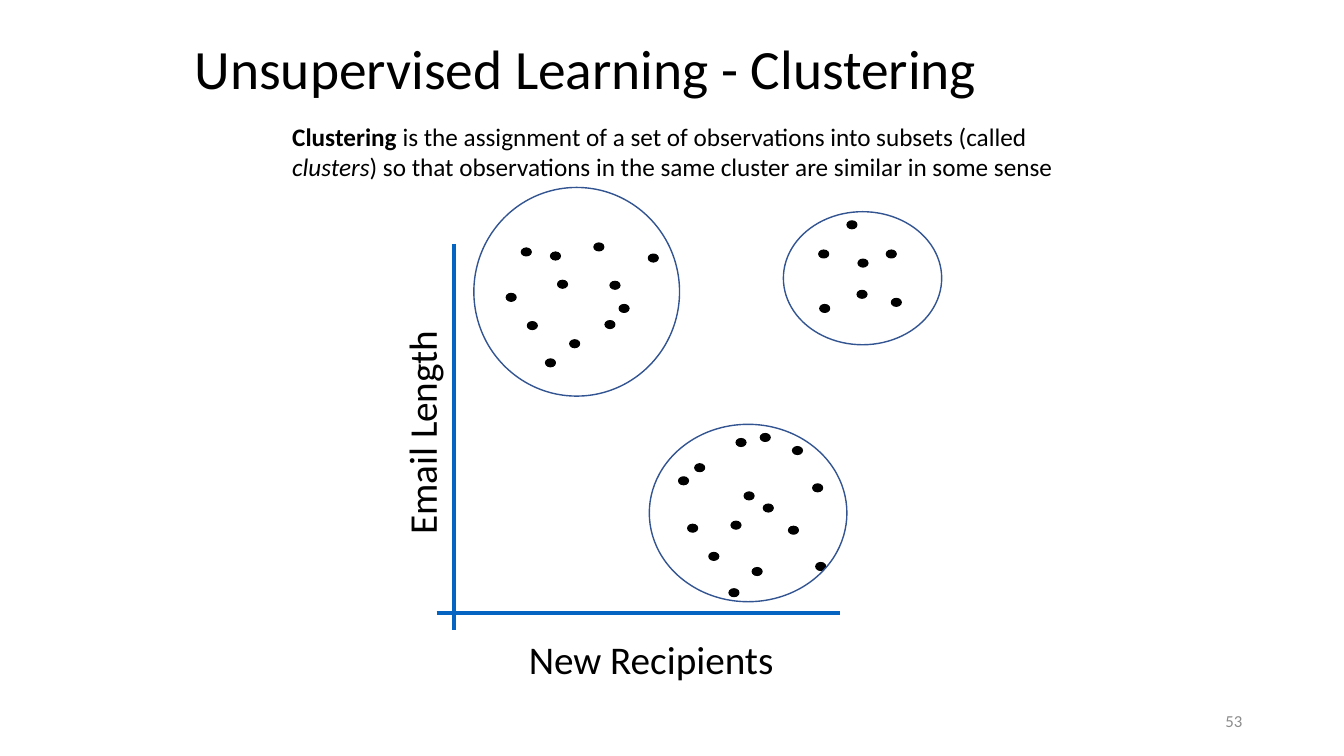
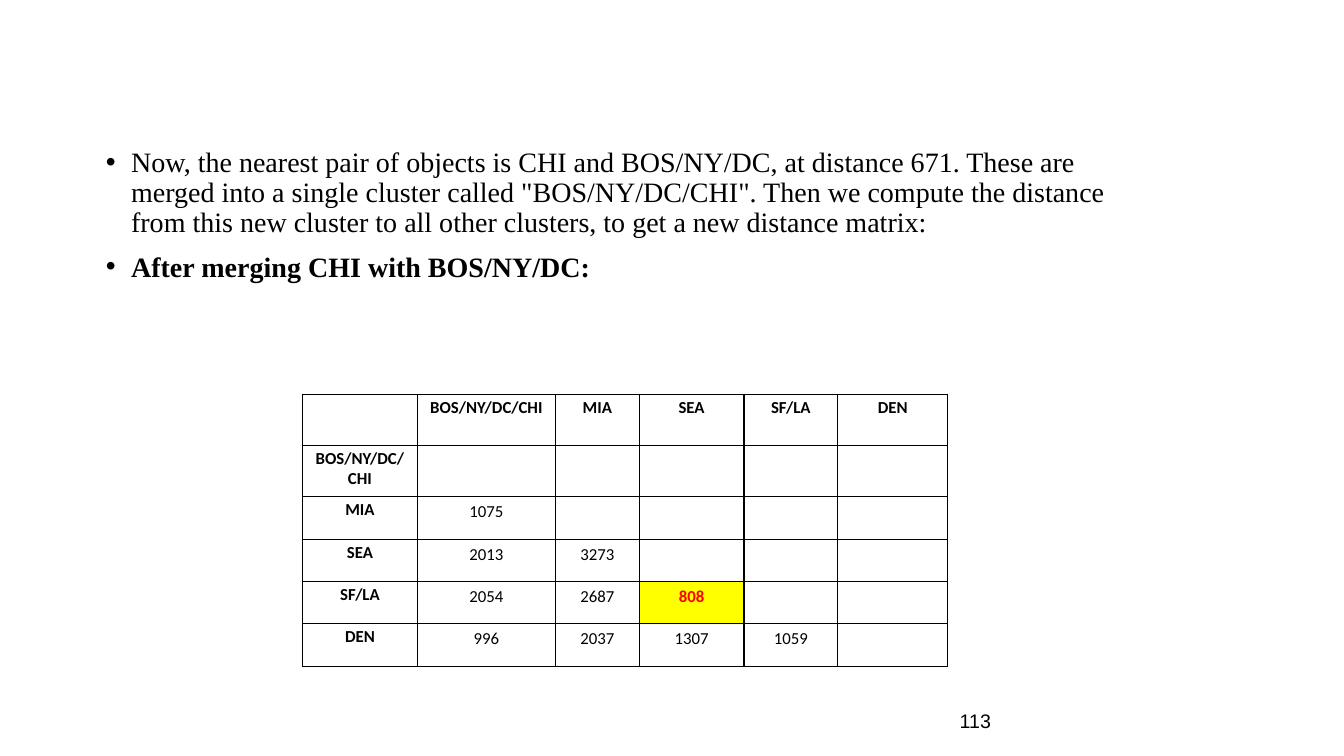
from lxml import etree
from pptx import Presentation
from pptx.dml.color import RGBColor
from pptx.enum.shapes import MSO_CONNECTOR, MSO_SHAPE
from pptx.enum.text import MSO_ANCHOR, MSO_AUTO_SIZE, PP_ALIGN
from pptx.oxml.ns import qn
from pptx.util import Inches, Pt

LEFT, CENTER, RIGHT = PP_ALIGN.LEFT, PP_ALIGN.CENTER, PP_ALIGN.RIGHT
TOP, MIDDLE = MSO_ANCHOR.TOP, MSO_ANCHOR.MIDDLE
NO_AUTOFIT = MSO_AUTO_SIZE.NONE
OVAL = MSO_SHAPE.OVAL
STRAIGHT = MSO_CONNECTOR.STRAIGHT

HEX = {
    "text": "000000",
    "paper": "FFFFFF",
    "axis": "0563C1",
    "outline": "325491",
    "page": "8C8C8C",
    "highlight": "FFFF00",
    "nearest": "FF0000",
}
COLOR = {name: RGBColor.from_string(value) for name, value in HEX.items()}
BODY_FONT = "Calibri"
PAGE_BOX = (9.42, 6.95, 3, 0.4)


def add_run(para, text, size, font=BODY_FONT, color="text", bold=False, italic=False):
    span = para.add_run()
    span.text = text
    span.font.size = Pt(size)
    span.font.name = font
    span.font.color.rgb = COLOR[color]
    span.font.bold = bold
    span.font.italic = italic


def add_text_box(slide, place, align=LEFT, anchor=TOP):
    """Add a wrapping text box and return it with its first paragraph."""
    box = slide.shapes.add_textbox(*map(Inches, place))
    box.text_frame.word_wrap = True
    box.text_frame.vertical_anchor = anchor
    para = box.text_frame.paragraphs[0]
    para.alignment = align
    return box, para


deck = Presentation()
deck.slide_width = Inches(13.33)
deck.slide_height = Inches(7.5)

# Slide 1: clustering scatter
slide = deck.slides.add_slide(deck.slide_layouts.get_by_name("Title Only"))
title = slide.shapes.title
title.left, title.top, title.width, title.height = map(Inches, (1.83, 0.33, 8.69, 0.75))
title.text_frame.auto_size = NO_AUTOFIT
title.text_frame.vertical_anchor = MIDDLE
para = title.text_frame.paragraphs[0]
para.alignment = LEFT
para.line_spacing = 0.9
add_run(para, "Unsupervised Learning - Clustering", 39.6)

for x1, y1, x2, y2 in [(4.5, 2.42, 4.5, 6.25), (4.33, 6.08, 8.33, 6.08)]:
    axis = slide.shapes.add_connector(STRAIGHT, *map(Inches, (x1, y1, x2, y2)))
    axis.line.color.rgb = COLOR["axis"]
    axis.line.width = Pt(3)
    etree.SubElement(axis._element.spPr, qn("a:effectLst"))

# Each cluster: the place of its outline and the centres of its dots
DOT_WIDTH, DOT_HEIGHT = 0.1, 0.08
clusters = [
    ((4.7, 1.86, 2.04, 2.07), [
        (5.28, 3.23), (6.48, 2.56), (6.19, 3.06), (5.7, 3.41), (5.22, 2.5), (6.05, 3.22),
        (5.46, 3.6), (6.1, 2.83), (5.94, 2.45), (5.58, 2.82), (5.07, 2.95), (5.51, 2.54)]),
    ((7.77, 2.1, 1.57, 1.32), [
        (8.84, 2.52), (8.45, 2.23), (8.89, 3), (8.18, 3.06), (8.56, 2.61), (8.55, 2.92),
        (8.17, 2.52)]),
    ((6.44, 4.21, 1.96, 1.76), [
        (7.35, 4.39), (7.87, 5.26), (6.78, 4.77), (7.3, 5.21), (7.51, 5.67), (6.87, 5.24),
        (8.14, 5.62), (6.94, 4.64), (7.59, 4.34), (8.11, 4.84), (7.43, 4.92), (7.28, 5.88),
        (7.91, 4.47), (7.62, 5.04), (7.08, 5.52)]),
]
for outline_place, centres in clusters:
    for x, y in centres:
        dot = slide.shapes.add_shape(
            OVAL, Inches(x - DOT_WIDTH / 2), Inches(y - DOT_HEIGHT / 2),
            Inches(DOT_WIDTH), Inches(DOT_HEIGHT))
        dot.shadow.inherit = False
        dot.fill.solid()
        dot.fill.fore_color.rgb = COLOR["text"]
        dot.line.color.rgb = COLOR["text"]
        dot.line.width = Pt(0.75)
    outline = slide.shapes.add_shape(OVAL, *map(Inches, outline_place))
    outline.shadow.inherit = False
    outline.fill.background()
    outline.line.color.rgb = COLOR["outline"]
    outline.line.width = Pt(1)

for label, left, top, angle in [("New Recipients", 4.91, 6.25, 0), ("Email Length", 2.75, 4.33, 270)]:
    box, para = add_text_box(slide, (left, top, 2.86, 0.57), RIGHT)
    box.rotation = angle
    add_run(para, label, 28)

box, para = add_text_box(slide, (2.8, 1.15, 7.95, 0.71))
add_run(para, "Clustering", 18, bold=True)
add_run(para, " is the assignment of a set of observations into subsets (called ", 18)
add_run(para, "clusters", 18, italic=True)
add_run(para, ") so that observations in the same cluster are similar in some sense", 18)

box, para = add_text_box(slide, PAGE_BOX, RIGHT, MIDDLE)
add_run(para, "53", 12, color="page")

# Slide 2: distance matrix
slide = deck.slides.add_slide(deck.slide_layouts.get_by_name("Title and Content"))
empty_title = slide.shapes.title._element
empty_title.getparent().remove(empty_title)

body = slide.placeholders[1]
body.left, body.top, body.width, body.height = map(Inches, (0.95, 1.42, 10.5, 4.58))
frame = body.text_frame
frame.auto_size = NO_AUTOFIT
points = [
    ("Now, the nearest pair of objects is CHI and BOS/NY/DC, at distance 671. These are merged "
     "into a single cluster called \"BOS/NY/DC/CHI\". Then we compute the distance from this new "
     "cluster to all other clusters, to get a new distance matrix:", False),
    ("After merging CHI with BOS/NY/DC:", True),
]
for index, (text, bold) in enumerate(points):
    para = frame.add_paragraph() if index else frame.paragraphs[0]
    properties = para._p.get_or_add_pPr()
    properties.set("marL", str(Inches(0.25)))
    properties.set("indent", str(-Inches(0.25)))
    etree.SubElement(properties, qn("a:buFont"), typeface="Arial")
    etree.SubElement(properties, qn("a:buChar"), char="•")
    para.line_spacing = 0.9
    para.space_before = Pt(10 if index else 0)
    add_run(para, text, 20, "Times New Roman", bold=bold)

cities = ["BOS/NY/DC/CHI", "MIA", "SEA", "SF/LA", "DEN"]
distances = [[], [1075], [2013, 3273], [2054, 2687, 808], [996, 2037, 1307, 1059]]
rows = [["", *cities]]
for city, values in zip(cities, distances):
    rows.append([city, *map(str, values)] + [""] * (len(cities) - len(values)))
column_widths = [1.14, 1.37, 0.83, 1.04, 0.93, 1.09]
row_heights = [0.51, 0.51, 0.42, 0.42, 0.42, 0.42]
nearest_cell = (4, 3)

table = slide.shapes.add_table(
    len(rows), len(column_widths), Inches(3), Inches(3.91),
    Inches(sum(column_widths)), Inches(sum(row_heights))).table
table.first_row = False
table.horz_banding = False
for column, width in zip(table.columns, column_widths):
    column.width = Inches(width)
for row, height in zip(table.rows, row_heights):
    row.height = Inches(height)

for row_index, row in enumerate(rows):
    for column_index, text in enumerate(row):
        cell = table.cell(row_index, column_index)
        is_header = row_index == 0 or column_index == 0
        is_nearest = (row_index, column_index) == nearest_cell
        margin = Inches(0.03 if is_header else 0.05)
        cell.margin_left = cell.margin_right = margin
        cell.margin_top = cell.margin_bottom = margin
        cell_properties = cell._tc.get_or_add_tcPr()
        for side in ("lnL", "lnR", "lnT", "lnB"):
            border = etree.SubElement(cell_properties, qn(f"a:{side}"), w=str(Pt(1)))
            border_fill = etree.SubElement(border, qn("a:solidFill"))
            etree.SubElement(border_fill, qn("a:srgbClr"), val=HEX["text"])
        cell.fill.solid()
        cell.fill.fore_color.rgb = COLOR["highlight" if is_nearest else "paper"]
        if text:
            para = cell.text_frame.paragraphs[0]
            para.alignment = CENTER
            add_run(para, text, 12, color="nearest" if is_nearest else "text",
                    bold=is_header or is_nearest)

box, para = add_text_box(slide, PAGE_BOX, anchor=MIDDLE)
add_run(para, "113", 14, "Arial")

deck.save("out.pptx")
